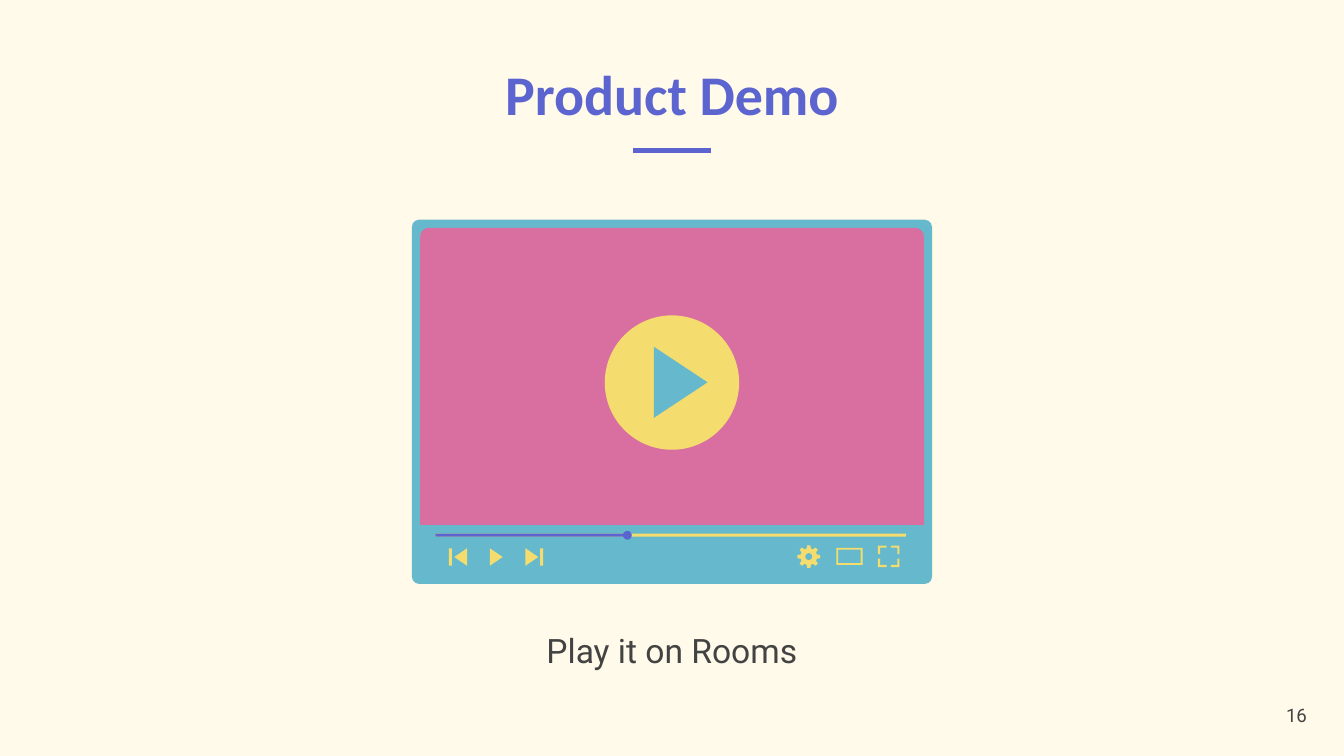
"""Build the product demo slide with a video player and its controls."""
from math import cos, radians, sin

from lxml import etree
from pptx import Presentation
from pptx.dml.color import RGBColor
from pptx.enum.shapes import MSO_CONNECTOR, MSO_SHAPE
from pptx.enum.text import MSO_ANCHOR, PP_ALIGN
from pptx.oxml.ns import qn
from pptx.util import Inches, Pt

STRAIGHT = MSO_CONNECTOR.STRAIGHT
OVAL, RECTANGLE, FRAME = MSO_SHAPE.OVAL, MSO_SHAPE.RECTANGLE, MSO_SHAPE.FRAME
ROUNDED, ROUNDED_TOP = MSO_SHAPE.ROUNDED_RECTANGLE, MSO_SHAPE.ROUND_2_SAME_RECTANGLE
TOP, BOTTOM = MSO_ANCHOR.TOP, MSO_ANCHOR.BOTTOM
LEFT, CENTER = PP_ALIGN.LEFT, PP_ALIGN.CENTER
COLORS = {
    "cream": "FFFAEA",
    "indigo": "5C65CF",
    "teal": "66B9CC",
    "pink": "D96FA0",
    "yellow": "F5DC6E",
    "gray": "434343",
}
PALETTE = {name: RGBColor.from_string(value) for name, value in COLORS.items()}

deck = Presentation()
deck.slide_width = Inches(10)
deck.slide_height = deck.slide_width * 9 // 16
COLUMN = deck.slide_width / 1000
ROW = deck.slide_height / 562.5
page = deck.slides.add_slide(deck.slide_layouts[5])
page.background.fill.solid()
page.background.fill.fore_color.rgb = PALETTE["cream"]


def place(kind, left, top, width, height, color, adjustments=()):
    shape = page.shapes.add_shape(
        kind, round(left * COLUMN), round(top * ROW), round(width * COLUMN), round(height * ROW)
    )
    for index, value in enumerate(adjustments):
        shape.adjustments[index] = value
    shape.shadow.inherit = False
    shape.fill.solid()
    shape.fill.fore_color.rgb = PALETTE[color]
    shape.line.fill.background()


def outline(contours, color):
    scaled = [[(round(x * COLUMN), round(y * ROW)) for x, y in points] for points in contours]
    builder = page.shapes.build_freeform(*scaled[0][0], scale=1.0)
    builder.add_line_segments(scaled[0][1:], close=True)
    for points in scaled[1:]:
        builder.move_to(*points[0])
        builder.add_line_segments(points[1:], close=True)
    shape = builder.convert_to_shape()
    shape.shadow.inherit = False
    shape.fill.solid()
    shape.fill.fore_color.rgb = PALETTE[color]
    shape.line.fill.background()


rule = page.shapes.add_connector(
    STRAIGHT, round(471 * COLUMN), round(112 * ROW), round(529 * COLUMN), round(112 * ROW)
)
rule.line.color.rgb = PALETTE["indigo"]
rule.line.width = Pt(3)
etree.SubElement(rule._element.spPr, qn("a:effectLst"))

place(ROUNDED, 306.5, 163.5, 387, 271, "teal", [0.02])
place(ROUNDED_TOP, 312.5, 169.5, 375, 221, "pink", [0.03, 0])
place(OVAL, 450, 234.7, 100, 100, "yellow")
outline([[(486.5, 258), (486.5, 311), (526.5, 284.5)]], "teal")

place(RECTANGLE, 324, 397, 350, 2.4, "yellow")
place(RECTANGLE, 324, 397, 143, 2.4, "indigo")
place(OVAL, 463.5, 395, 6.6, 6.6, "indigo")

for base, tip in [(347.5, 338), (364.5, 374), (391, 400.5)]:
    outline([[(base, 408), (base, 421), (tip, 414.5)]], "yellow")
for bar in (334, 402):
    place(RECTANGLE, bar, 408, 2.2, 13, "yellow")

gear_x, gear_y = 601.8, 414.2
teeth = [
    (45 * tooth + offset, radius)
    for tooth in range(8)
    for offset, radius in [(-15, 6.2), (-8, 8.5), (8, 8.5), (15, 6.2)]
]
hole = [(-15 * step, 2.6) for step in range(24)]
outline(
    [
        [(gear_x + r * cos(radians(angle)), gear_y + r * sin(radians(angle))) for angle, r in ring]
        for ring in (teeth, hole)
    ],
    "yellow",
)

place(FRAME, 622.3, 407.6, 19.5, 12.8, "yellow", [0.11])
bracket = [(8, 8), (8, 1.6), (6.4, 1.6), (6.4, 6.4), (1.6, 6.4), (1.6, 8)]
for across in (-1, 1):
    for down in (-1, 1):
        outline([[(661.2 + across * x, 414 + down * y) for x, y in bracket]], "yellow")

texts = [
    {"text": "Product Demo", "box": (87, 21.7, 826, 82.5), "margins": (0.1, 0.1),
     "anchor": BOTTOM, "align": CENTER, "after": 0, "color": "indigo",
     "font": {"name": "Calibri", "size": Pt(30), "bold": True}},
    {"text": "Play it on Rooms", "box": (227, 459, 546, 64), "margins": (0.1, 0.1),
     "anchor": TOP, "align": CENTER, "after": 16, "color": "gray",
     "font": {"name": "Roboto", "size": Pt(18)}},
    {"text": "16", "box": (947, 519, 55, 27), "margins": (0.1, 0.05),
     "anchor": TOP, "align": LEFT, "after": 0, "color": "gray",
     "font": {"name": "Roboto", "size": Pt(10)}},
]
for item in texts:
    is_title = item["anchor"] == BOTTOM
    box = page.shapes.title if is_title else page.shapes.add_textbox(0, 0, 0, 0)
    units = (COLUMN, ROW, COLUMN, ROW)
    for side, amount, unit in zip(("left", "top", "width", "height"), item["box"], units):
        setattr(box, side, round(amount * unit))
    frame = box.text_frame
    side_margin, edge_margin = (Inches(value) for value in item["margins"])
    frame_format = {
        "word_wrap": True, "vertical_anchor": item["anchor"],
        "margin_left": side_margin, "margin_right": side_margin,
        "margin_top": edge_margin, "margin_bottom": edge_margin,
    }
    for name, value in frame_format.items():
        setattr(frame, name, value)
    para = frame.paragraphs[0]
    para.alignment = item["align"]
    para.space_after = Pt(item["after"])
    span = para.add_run()
    span.text = item["text"]
    for name, value in item["font"].items():
        setattr(span.font, name, value)
    span.font.color.rgb = PALETTE[item["color"]]

deck.save("out.pptx")
